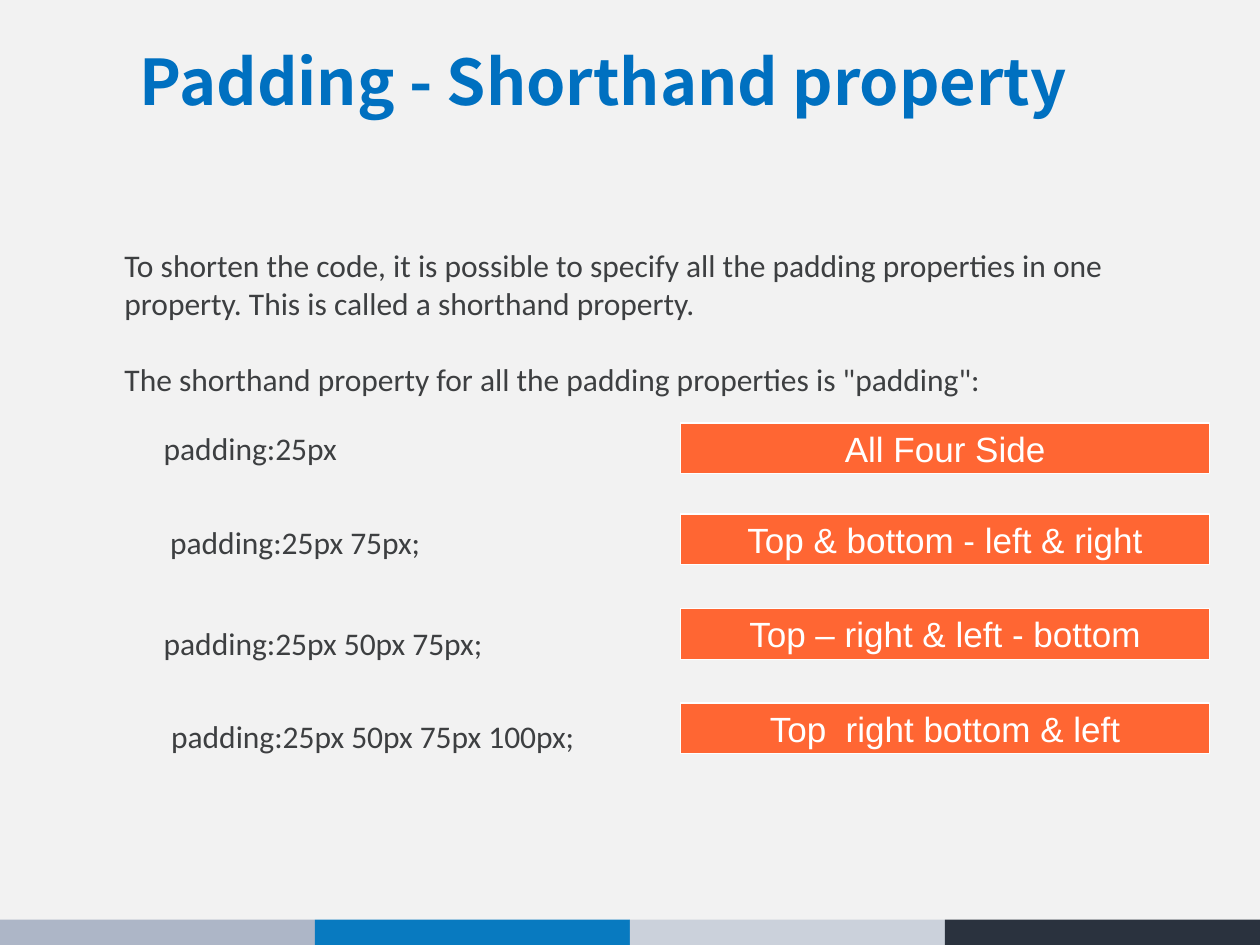
from pptx import Presentation
from pptx.dml.color import RGBColor
from pptx.enum.shapes import MSO_SHAPE as SHAPE
from pptx.enum.text import MSO_ANCHOR as ANCHOR, PP_ALIGN as ALIGN
from pptx.util import Cm, Pt

WIDTH, HEIGHT = 25.4, 19.05
PAPER = RGBColor(0xF2, 0xF2, 0xF2)
BLUE = RGBColor(0x00, 0x70, 0xC0)
INK = RGBColor(0x3D, 0x3F, 0x41)
ORANGE = RGBColor(0xFF, 0x66, 0x33)
WHITE = RGBColor(0xFF, 0xFF, 0xFF)
FOOTER = [
    RGBColor(0xAD, 0xB6, 0xC7),
    RGBColor(0x08, 0x7A, 0xC0),
    RGBColor(0xCB, 0xD1, 0xDB),
    RGBColor(0x2A, 0x32, 0x3E),
]

TITLE = {"name": "Noto Sans CJK SC", "size": Pt(36), "bold": True}
BODY = {"name": "Calibri", "size": Pt(18)}
LABEL = {"name": "Arial", "size": Pt(20)}

INTRO = [
    "To shorten the code, it is possible to specify all the padding properties "
    "in one property. This is called a shorthand property.",
    'The shorthand property for all the padding properties is "padding":',
]
EXAMPLES = [
    (3.05, 8.53, "padding:25px", 8.53, "All Four Side"),
    (3.18, 10.41, "padding:25px 75px;", 10.36, "Top & bottom - left & right"),
    (3.05, 12.45, "padding:25px 50px 75px;", 12.27, "Top – right & left - bottom"),
    (3.2, 14.33, "padding:25px 50px 75px 100px;", 14.17, "Top  right bottom & left"),
]


class SlideBuilder:
    """Holds the style and the current slide and adds elements to it."""

    def __init__(self, prs):
        self.s = prs.slides.add_slide(prs.slide_layouts[6])

    def add_lines(self, tf, lines, style, color, align=ALIGN.LEFT, gap=0, spacing=None):
        for i, line in enumerate(lines):
            p = tf.add_paragraph() if i else tf.paragraphs[0]
            p.alignment = align
            p.line_spacing = spacing
            if i:
                p.space_before = Pt(gap)
            r = p.add_run()
            r.text = line
            for key, value in style.items():
                setattr(r.font, key, value)
            r.font.color.rgb = color

    def text(self, x, y, w, h, lines, style, color, anchor=ANCHOR.TOP, **layout):
        tf = self.s.shapes.add_textbox(Cm(x), Cm(y), Cm(w), Cm(h)).text_frame
        tf.word_wrap = True
        tf.vertical_anchor = anchor
        self.add_lines(tf, lines, style, color, **layout)

    def rect(self, x, y, w, h, fill):
        sp = self.s.shapes.add_shape(SHAPE.RECTANGLE, Cm(x), Cm(y), Cm(w), Cm(h))
        sp.shadow.inherit = False
        sp.fill.solid()
        sp.fill.fore_color.rgb = fill
        sp.line.fill.background()
        return sp

    def label(self, x, y, w, h, text):
        sp = self.rect(x, y, w, h, ORANGE)
        sp.line.color.rgb = WHITE
        sp.line.width = Pt(0)
        tf = sp.text_frame
        tf.word_wrap = False
        tf.vertical_anchor = ANCHOR.MIDDLE
        self.add_lines(tf, [text], LABEL, WHITE, ALIGN.CENTER)


def main():
    prs = Presentation()
    prs.slide_width, prs.slide_height = Cm(WIDTH), Cm(HEIGHT)
    b = SlideBuilder(prs)

    b.rect(0, 0, WIDTH, HEIGHT, PAPER)
    bar = WIDTH / len(FOOTER)
    for i, color in enumerate(FOOTER):
        b.rect(i * bar, 18.54, bar, 0.51, color)

    b.text(2.57, 0.13, 21.16, 3.18, ["Padding - Shorthand property"],
           TITLE, BLUE, ANCHOR.MIDDLE, spacing=0.9)
    b.text(2.26, 4.83, 22.4, 4.11, INTRO, BODY, INK, gap=22)
    for x, y, code, label_y, meaning in EXAMPLES:
        b.text(x, y, 9.9, 0.97, [code], BODY, INK)
        b.label(13.72, label_y, 10.67, 1.02, meaning)

    prs.save("out.pptx")


if __name__ == "__main__":
    main()
